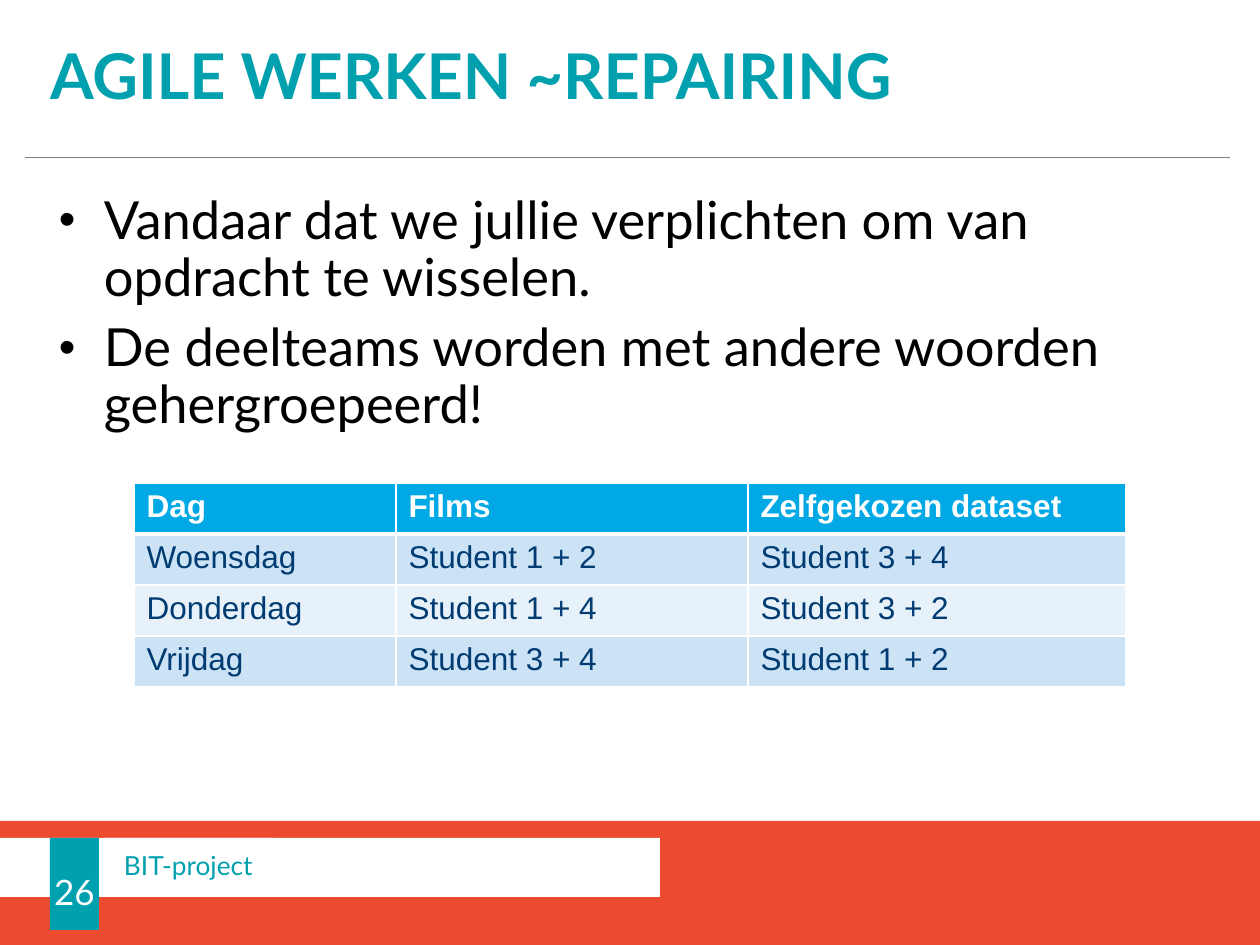
from lxml.etree import SubElement
from pptx import Presentation
from pptx.dml.color import RGBColor
from pptx.enum.shapes import MSO_CONNECTOR, MSO_SHAPE
from pptx.enum.text import MSO_ANCHOR as Anchor, MSO_AUTO_SIZE as AutoSize, PP_ALIGN as Align
from pptx.oxml import parse_xml
from pptx.oxml.ns import nsdecls, qn
from pptx.util import Emu, Pt

PX = 914400 / 126
TEAL = RGBColor(0x00, 0xA0, 0xAE)
RED = RGBColor(0xEC, 0x4B, 0x2F)
WHITE = RGBColor(0xFF, 0xFF, 0xFF)
BLACK = RGBColor(0x00, 0x00, 0x00)
GREY = RGBColor(0x80, 0x80, 0x80)
HEADER_BLUE = RGBColor(0x00, 0xA9, 0xE5)
NAVY = RGBColor(0x00, 0x3C, 0x72)
BAND_DARK = RGBColor(0xCC, 0xE2, 0xF5)
BAND_LIGHT = RGBColor(0xE7, 0xF1, 0xFA)

BULLETS = [
    "Vandaar dat we jullie verplichten om van opdracht te wisselen.",
    "De deelteams worden met andere woorden gehergroepeerd!",
]
SCHEDULE = [
    ("Dag", "Films", "Zelfgekozen dataset"),
    ("Woensdag", "Student 1 + 2", "Student 3 + 4"),
    ("Donderdag", "Student 1 + 4", "Student 3 + 2"),
    ("Vrijdag", "Student 3 + 4", "Student 1 + 2"),
]


def px(length):
    return Emu(round(length * PX))


def place(shape, left, top, width, height):
    shape.left, shape.top = px(left), px(top)
    shape.width, shape.height = px(width), px(height)


def set_frame(frame, insets, anchor, wrap=True):
    frame.auto_size = AutoSize.NONE
    frame.word_wrap = wrap
    frame.vertical_anchor = anchor
    frame.margin_left, frame.margin_top, frame.margin_right, frame.margin_bottom = map(px, insets)


def style(paragraph, size, color, font="Lato", bold=False, align=Align.LEFT, spacing=None):
    paragraph.alignment = align
    paragraph.line_spacing = spacing
    for run in paragraph.runs:
        run.font.name = font
        run.font.size = Pt(size)
        run.font.bold = bold
        run.font.color.rgb = color


def add_block(slide, left, top, width, height, color):
    block = slide.shapes.add_shape(
        MSO_SHAPE.RECTANGLE, px(left), px(top), px(width), px(height))
    block.shadow.inherit = False
    block.fill.solid()
    block.fill.fore_color.rgb = color
    block.line.fill.background()
    return block


def add_heading(slide, left, top, width, height):
    title = slide.shapes.title
    place(title, left, top, width, height)
    set_frame(title.text_frame, (50, 25, 50, 20), Anchor.MIDDLE)
    title.text_frame.text = "AGILE WERKEN ~REPAIRING"
    style(title.text_frame.paragraphs[0], 36, TEAL, bold=True, spacing=0.8)

    rule = slide.shapes.add_connector(
        MSO_CONNECTOR.STRAIGHT, px(left + 25), px(top + height),
        px(left + width - 30), px(top + height))
    rule.line.color.rgb = GREY
    rule.line.width = Pt(0.5)
    SubElement(rule.element.spPr, qn("a:effectLst"))


def add_bullets(slide, left, top, width, height):
    body = slide.shapes.add_textbox(px(left), px(top), px(width), px(height))
    frame = body.text_frame
    set_frame(frame, (59, 35, 59, 20), Anchor.TOP)
    frame.text = "\n".join(BULLETS)
    for bullet in frame.paragraphs:
        style(bullet, 30, BLACK, spacing=0.9)
        bullet.space_before = bullet.space_after = Pt(4)
        properties = bullet._p.get_or_add_pPr()
        properties.set("marL", str(px(45)))
        properties.set("indent", str(-px(45)))
        SubElement(properties, qn("a:buSzPct"), val="90000")
        SubElement(properties, qn("a:buFont"), typeface="Arial")
        SubElement(properties, qn("a:buChar"), char="•")


def set_borders(cell, bottom_width):
    properties = cell._tc.get_or_add_tcPr()
    widths = {"lnL": 1, "lnR": 1, "lnT": 1, "lnB": bottom_width}
    for position, (side, width) in enumerate(widths.items()):
        properties.insert(position, parse_xml(
            f'<a:{side} {nsdecls("a")} w="{Pt(width)}"><a:solidFill>'
            f'<a:srgbClr val="{WHITE}"/></a:solidFill></a:{side}>'))


def add_schedule(slide, left, top, column_widths, row_height):
    table = slide.shapes.add_table(
        len(SCHEDULE), len(column_widths), px(left), px(top),
        px(sum(column_widths)), px(row_height * len(SCHEDULE))).table
    for column, width in zip(table.columns, column_widths):
        column.width = px(width)
    for row_index, texts in enumerate(SCHEDULE):
        is_header = row_index == 0
        band = BAND_DARK if row_index % 2 else BAND_LIGHT
        for column_index, text in enumerate(texts):
            cell = table.cell(row_index, column_index)
            cell.text = text
            cell.fill.solid()
            cell.fill.fore_color.rgb = HEADER_BLUE if is_header else band
            style(cell.text_frame.paragraphs[0], 18, WHITE if is_header else NAVY,
                  font="Arial", bold=is_header)
            set_borders(cell, 3 if is_header else 1)


def add_footer(slide, left, top, width, height):
    add_block(slide, left, top, width, height, RED)
    add_block(slide, left, top + 17, 273, 59, WHITE)

    number = add_block(slide, left + 50, top + 17, 49, 92, TEAL)
    set_frame(number.text_frame, (0, 15, 0, 0), Anchor.MIDDLE, wrap=False)
    number.text_frame.text = "26"
    style(number.text_frame.paragraphs[0], 20, WHITE, align=Align.CENTER)

    project = add_block(slide, left + 104, top + 17, 556, 59, WHITE)
    set_frame(project.text_frame, (20, 0, 20, 0), Anchor.MIDDLE)
    project.text_frame.text = "BIT-project"
    style(project.text_frame.paragraphs[0], 15, TEAL, spacing=0.9)


def main():
    presentation = Presentation()
    presentation.slide_width, presentation.slide_height = px(1260), px(945)
    slide = presentation.slides.add_slide(presentation.slide_layouts[5])
    add_footer(slide, 0, 821, 1260, 124)
    add_heading(slide, 0, 0, 1260, 157)
    add_bullets(slide, 0, 159, 1260, 610)
    add_schedule(slide, 134, 483, (262, 352, 378), 51)
    presentation.save("out.pptx")


if __name__ == "__main__":
    main()
